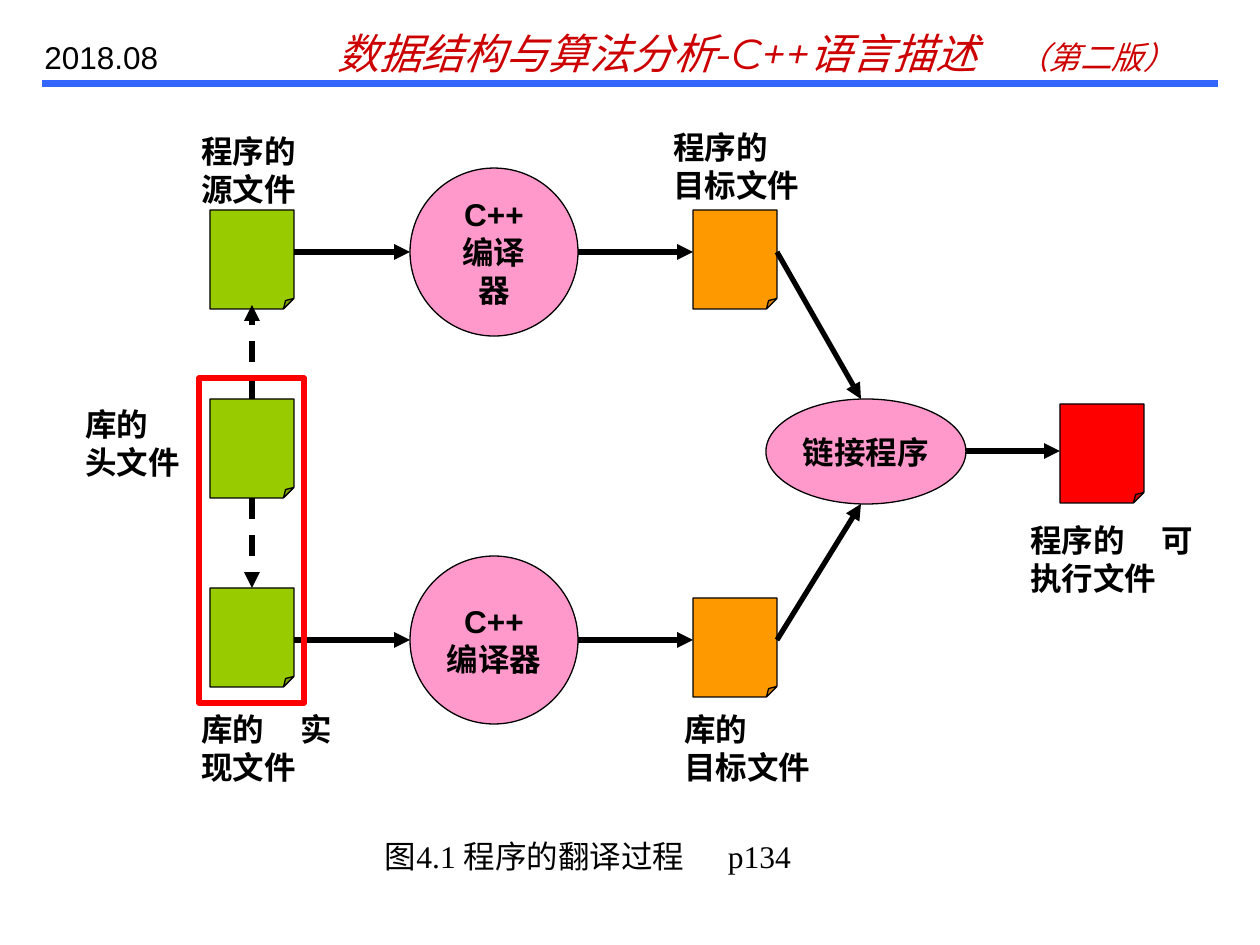
import pptx
import pptx.util
import pptx.dml.color
import pptx.enum.dml
import pptx.enum.shapes
import pptx.enum.text
import pptx.oxml

PX = 914400 // 126
SHAPE = pptx.enum.shapes.MSO_SHAPE
ALIGN = pptx.enum.text.PP_ALIGN
ANCHOR = pptx.enum.text.MSO_ANCHOR
NS = 'xmlns:a="http://schemas.openxmlformats.org/drawingml/2006/main"'

COLORS = {"black": "000000", "rule": "3366FF", "heading": "CC0000",
          "source": "99CC00", "object": "FF9900", "program": "FF99CC",
          "executable": "FF0000", "frame": "FF0000"}

BODY = {"size": 18, "name": "Arial", "color": "black"}
BOLD = {**BODY, "bold": True}
HEADING = {"size": 24, "name": "Montserrat", "color": "heading", "italic": True}
CAPTION = {**BODY, "name": "Times New Roman", "bold": False}

FILE_SIZE = (84, 99)
FILES = {  # name: (left, top, colour)
    "source": (210, 210, "source"),
    "header": (210, 399, "source"),
    "library": (210, 588, "source"),
    "source object": (693, 210, "object"),
    "library object": (693, 598, "object"),
    "executable": (1060, 404, "executable"),
}
PROGRAMS = [  # box, lines, wrap
    ((410, 168, 168, 168), ["C++", "编译器"], True),
    ((410, 556, 168, 168), ["C++", "编译器"], False),
    ((766, 399, 200, 105), ["链接程序"], False),
]
LABELS = [  # box, text, tab stop
    ((189, 126, 136, 88), "程序的\v源文件", None),
    ((73, 399, 126, 88), "库的\v头文件", None),
    ((189, 704, 158, 88), "库的\t实\v现文件", 99),
    ((661, 122, 168, 88), "程序的\v目标文件", None),
    ((672, 704, 168, 88), "库的\v目标文件", None),
    ((1018, 515, 189, 88), "程序的\t可\v执行文件", 131),
]
ARROWS = [
    (294, 252, 410, 252), (578, 252, 693, 252),
    (294, 640, 410, 640), (578, 640, 693, 640),
    (777, 252, 861, 399), (777, 640, 861, 504),
    (966, 451, 1060, 451),
]
INCLUDES = [  # dashed arrows: ends, side of the header file, target file
    ((252, 399, 252, 305), 0, None),
    ((252, 498, 252, 588), 2, "library"),
]


def px(*values):
    return [v * PX for v in values]


def rgb(name):
    return pptx.dml.color.RGBColor.from_string(COLORS[name])


def style(font, fmt):
    for key, value in fmt.items():
        if key == "color":
            font.color.rgb = rgb(value)
        else:
            setattr(font, key, pptx.util.Pt(value) if key == "size" else value)


def add_tab(p, stop):
    p._p.get_or_add_pPr().append(pptx.oxml.parse_xml(
        f'<a:tabLst {NS}><a:tab pos="{stop * PX}" algn="l"/></a:tabLst>'))


def write(tf, lines, fmt, tab=None, align=ALIGN.LEFT):
    for i, line in enumerate(lines):
        p = tf.add_paragraph() if i else tf.paragraphs[0]
        p.alignment = align
        if tab:
            add_tab(p, tab)
        p.text = line
        for r in p.runs:
            style(r.font, fmt)


def add_text(s, box, text, fmt, tab=None):
    tf = s.shapes.add_textbox(*px(*box)).text_frame
    tf.word_wrap = True
    write(tf, [text], fmt, tab)
    return tf


def add_shape(s, kind, box, fill, line="black", width=0.75):
    sp = s.shapes.add_shape(kind, *px(*box))
    sp.shadow.inherit = False
    if fill:
        sp.fill.solid()
        sp.fill.fore_color.rgb = rgb(fill)
    else:
        sp.fill.background()
    sp.line.color.rgb = rgb(line)
    sp.line.width = pptx.util.Pt(width)
    return sp


def add_file(s, x, y, color):
    sp = add_shape(s, SHAPE.FOLDED_CORNER, (x, y, *FILE_SIZE), color)
    guides = sp._element.spPr.prstGeom.get_or_add_avLst()
    guides.append(pptx.oxml.parse_xml(f'<a:gd {NS} name="adj" fmla="val 12500"/>'))
    return sp


def add_line(s, ends, color="black", width=3, arrow=True, dashed=False):
    c = s.shapes.add_connector(pptx.enum.shapes.MSO_CONNECTOR.STRAIGHT, *px(*ends))
    c.line.color.rgb = rgb(color)
    c.line.width = pptx.util.Pt(width)
    if dashed:
        c.line.dash_style = pptx.enum.dml.MSO_LINE.DASH
    if arrow:
        c.line._get_or_add_ln().append(
            pptx.oxml.parse_xml(f'<a:tailEnd {NS} type="triangle"/>'))
    c._element.spPr.append(pptx.oxml.parse_xml(f"<a:effectLst {NS}/>"))
    return c


def main():
    prs = pptx.Presentation()
    prs.slide_width, prs.slide_height = px(1260, 945)
    s = prs.slides.add_slide(prs.slide_layouts[5])

    add_line(s, (42, 84, 1218, 84), "rule", 4, arrow=False)
    tf = add_text(s, (325, 21, 882, 63), "数据结构与算法分析-C++语言描述", HEADING, 680)
    r = tf.paragraphs[0].add_run()
    r.text = "\t（第二版）"
    style(r.font, {**HEADING, "size": 18})
    add_text(s, (32, 32, 179, 50), "2018.08", BODY)

    files = {name: add_file(s, *place) for name, place in FILES.items()}

    for box, lines, wrap in PROGRAMS:
        tf = add_shape(s, SHAPE.OVAL, box, "program").text_frame
        tf.word_wrap = wrap
        tf.vertical_anchor = ANCHOR.MIDDLE
        write(tf, lines, BOLD, align=ALIGN.CENTER)

    for box, text, tab in LABELS:
        add_text(s, box, text, BOLD, tab)

    for ends in ARROWS:
        add_line(s, ends)
    for ends, side, target in INCLUDES:
        c = add_line(s, ends, dashed=True)
        c.begin_connect(files["header"], side)
        if target:
            c.end_connect(files[target], 0)

    add_shape(s, SHAPE.RECTANGLE, (199, 378, 105, 325), None, "frame", 3)

    title = s.shapes.title
    title.left, title.top, title.width, title.height = px(368, 829, 441, 53)
    tf = title.text_frame
    tf.margin_left = 17 * PX
    tf.vertical_anchor = ANCHOR.MIDDLE
    write(tf, ["图4.1 程序的翻译过程\tp134"], CAPTION, 343)

    prs.save("out.pptx")


if __name__ == "__main__":
    main()
